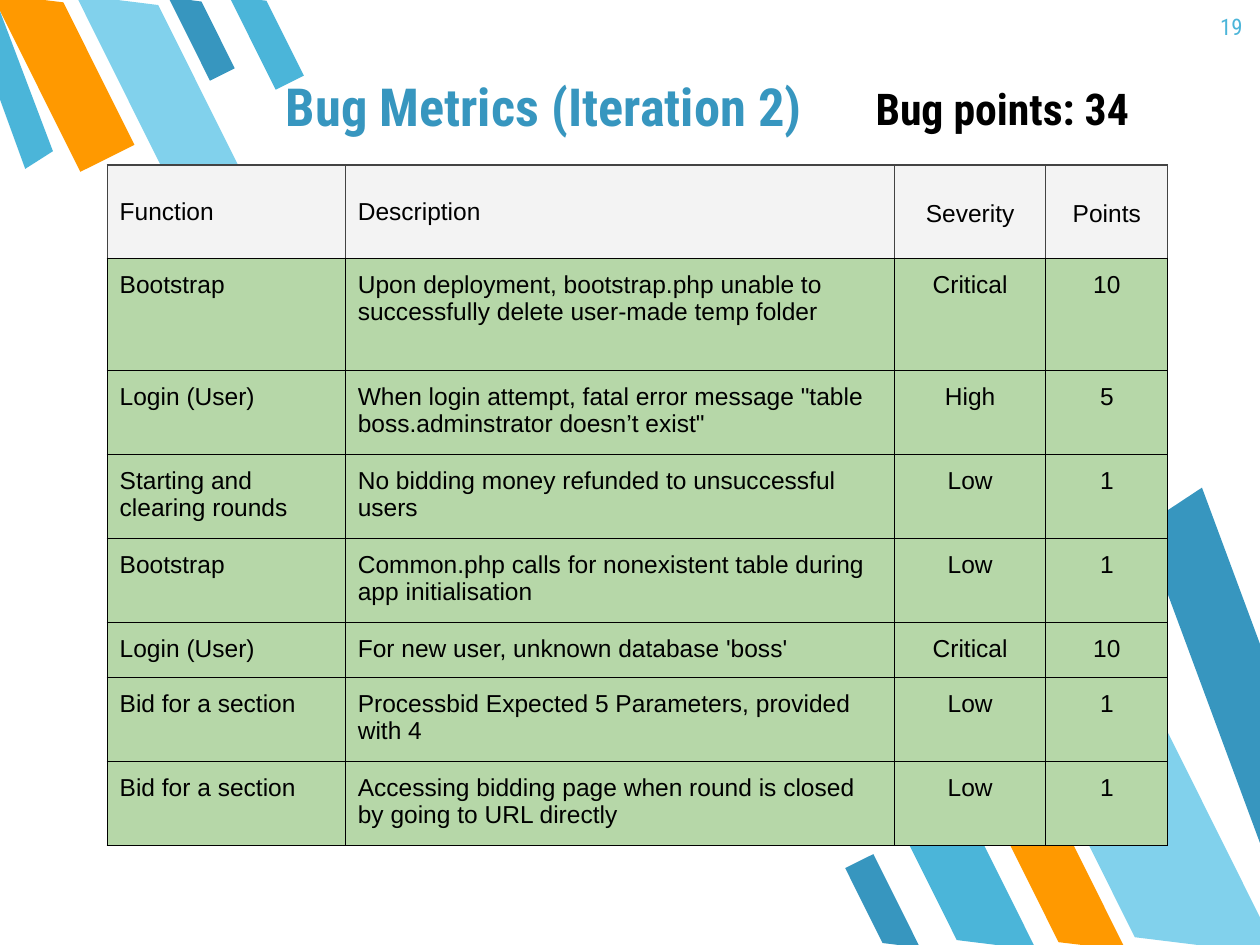
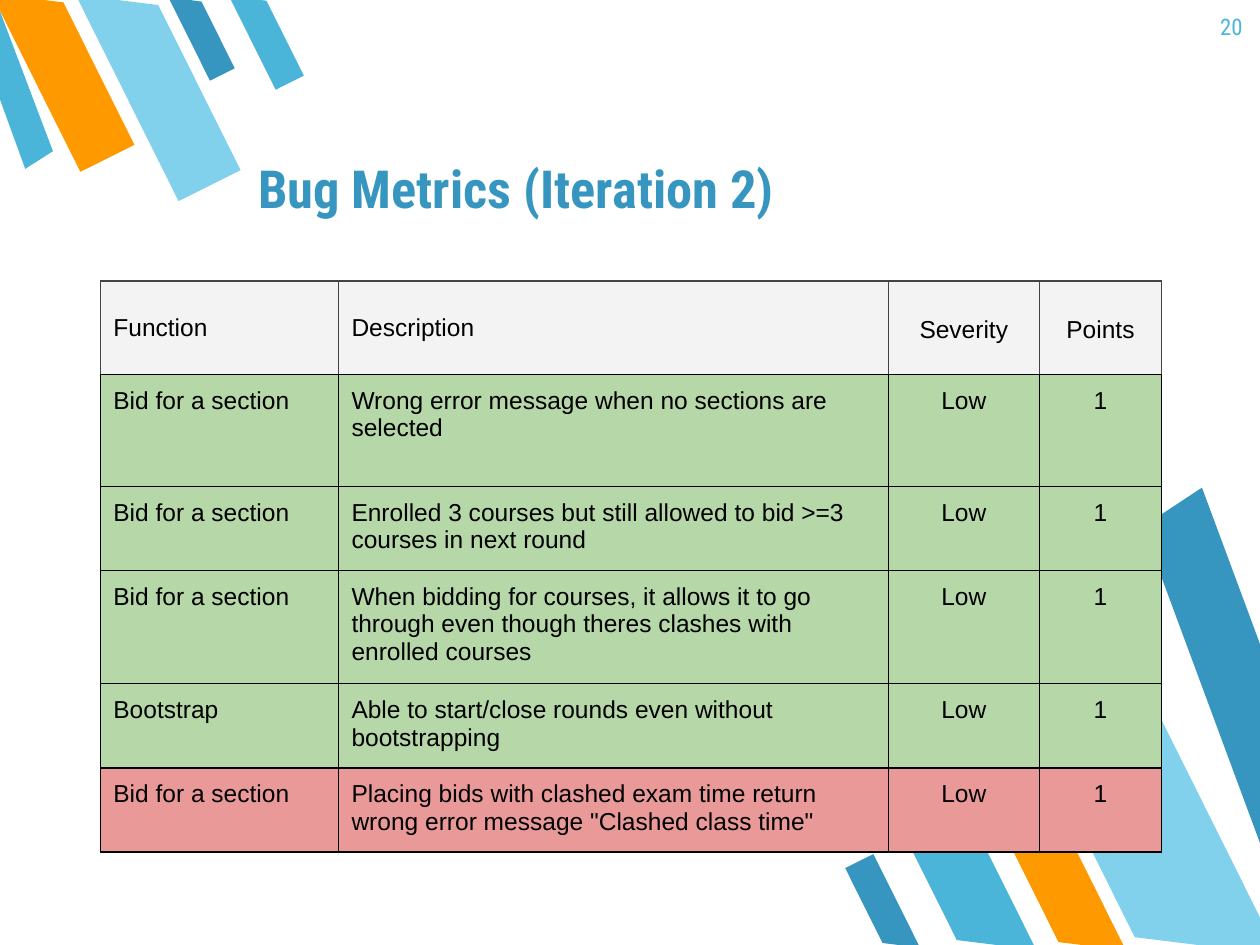
from lxml.etree import SubElement
from pptx import Presentation
from pptx.dml.color import RGBColor
from pptx.enum.shapes import MSO_SHAPE
from pptx.enum.text import MSO_ANCHOR, PP_ALIGN
from pptx.oxml.ns import qn
from pptx.util import Inches, Pt

COLORS = {
    "blue": "3796BF", "sky": "4BB5D9", "pale": "81D1EC", "orange": "FF9900",
    "black": "000000", "grey": "434343", "header": "F3F3F3",
    "fixed": "B6D7A8", "open": "EA9999",
}
HEADING_FONT = "Roboto Condensed"

# Slanted bands: left, top, width, height, rotation, colour
BANDS = [
    (7.33, 5.99, 0.53, 1.76, 153.5, "sky"),
    (8.53, 4.78, 0.96, 3.18, 153.5, "pale"),
    (8.18, 6.24, 0.45, 1.48, 153.5, "orange"),
    (6.88, 6.79, 0.25, 0.83, 153.5, "blue"),
    (1.49, -0.11, 0.22, 0.74, 333.5, "blue"),
    (0.26, -0.24, 0.48, 1.58, 333.5, "orange"),
    (0.98, -0.26, 0.55, 1.83, 333.5, "pale"),
    (1.99, -0.13, 0.25, 0.83, 333.5, "sky"),
]
# Bands cut off by the slide edge: corner points, colour
EDGE_BANDS = [
    ([(9.54, 3.87), (9.07, 4.18), (10, 6.69), (10, 5.11)], "blue"),
    ([(0.2, 1.34), (0.42, 1.2), (0, 0.09), (0, 0.79)], "sky"),
]

HEADINGS = ("Function", "Description", "Severity", "Points")
COLUMN_WIDTHS = (1.89, 4.36, 1.2, 0.97)
# Minimum heights; rows grow with their text
HEADER_HEIGHT, FIRST_BUG_HEIGHT, BUG_HEIGHT = 0.74, 0.89, 0.29

PAGES = [
    {
        "number": 19, "title_at": (2.17, 0.2), "table_at": (0.85, 1.31),
        "total": "Bug points: 34",
        "bugs": [
            ("Bootstrap", "Upon deployment, bootstrap.php unable to successfully "
             "delete user-made temp folder", "Critical", 10, "fixed"),
            ("Login (User)", "When login attempt, fatal error message \"table "
             "boss.adminstrator doesn’t exist\"", "High", 5, "fixed"),
            ("Starting and clearing rounds", "No bidding money refunded to "
             "unsuccessful users", "Low", 1, "fixed"),
            ("Bootstrap", "Common.php calls for nonexistent table during app "
             "initialisation", "Low", 1, "fixed"),
            ("Login (User)", "For new user, unknown database 'boss'",
             "Critical", 10, "fixed"),
            ("Bid for a section", "Processbid Expected 5 Parameters, provided "
             "with 4", "Low", 1, "fixed"),
            ("Bid for a section", "Accessing bidding page when round is closed "
             "by going to URL directly", "Low", 1, "fixed"),
        ],
    },
    {
        "number": 20, "title_at": (1.95, 0.85), "table_at": (0.8, 2.23),
        "total": None,
        "bugs": [
            ("Bid for a section", "Wrong error message when no sections are "
             "selected", "Low", 1, "fixed"),
            ("Bid for a section", "Enrolled 3 courses but still allowed to bid "
             ">=3 courses in next round", "Low", 1, "fixed"),
            ("Bid for a section", "When bidding for courses, it allows it to go "
             "through even though theres clashes with enrolled courses",
             "Low", 1, "fixed"),
            ("Bootstrap", "Able to start/close rounds even without "
             "bootstrapping", "Low", 1, "fixed"),
            ("Bid for a section", "Placing bids with clashed exam time return "
             "wrong error message \"Clashed class time\"", "Low", 1, "open"),
        ],
    },
]


def write(frame, text, cell=None, size=14, font="Arial", color="black", bold=False,
          align=PP_ALIGN.LEFT, anchor=MSO_ANCHOR.TOP, spacing=None, pad=0.1):
    """Fill a text frame; in a table the cell holds the margins and the anchor."""
    area = cell or frame
    area.margin_left = area.margin_right = Inches(0.1)
    area.margin_top = area.margin_bottom = Inches(pad)
    area.vertical_anchor = anchor
    frame.word_wrap = True
    para = frame.paragraphs[0]
    para.alignment = align
    para.line_spacing = spacing
    span = para.add_run()
    span.text = text
    span.font.size = Pt(size)
    span.font.name = font
    span.font.bold = bold
    span.font.color.rgb = RGBColor.from_string(COLORS[color])


def fill_cell(cell, fill, side_color, bottom_color):
    """Give a cell its borders, then its fill, in the order the schema asks for."""
    properties = cell._tc.get_or_add_tcPr()
    for side in "LRTB":
        line = SubElement(properties, qn(f"a:ln{side}"), w=str(Pt(0.75)))
        solid = SubElement(line, qn("a:solidFill"))
        color = bottom_color if side == "B" else side_color
        SubElement(solid, qn("a:srgbClr"), val=COLORS[color])
    cell.fill.solid()
    cell.fill.fore_color.rgb = RGBColor.from_string(COLORS[fill])


deck = Presentation()
deck.slide_width, deck.slide_height = Inches(10), Inches(7.5)

for page in PAGES:
    slide = deck.slides.add_slide(deck.slide_layouts[6])
    shapes = slide.shapes

    # Corner bands
    painted = []
    for left, top, width, height, rotation, color in BANDS:
        band = shapes.add_shape(MSO_SHAPE.FLOWCHART_MANUAL_INPUT, Inches(left),
                                Inches(top), Inches(width), Inches(height))
        band.rotation = rotation
        band.element.spPr.get_or_add_xfrm().set("flipH", "1")
        painted.append((band, color))
    for corners, color in EDGE_BANDS:
        points = [(Inches(x), Inches(y)) for x, y in corners]
        outline = shapes.build_freeform(*points[0])
        outline.add_line_segments(points[1:], close=True)
        painted.append((outline.convert_to_shape(), color))
    for band, color in painted:
        band.shadow.inherit = False
        band.fill.solid()
        band.fill.fore_color.rgb = RGBColor.from_string(COLORS[color])
        band.line.fill.background()

    # Title and page number
    left, top = page["title_at"]
    title = shapes.add_textbox(Inches(left), Inches(top), Inches(6.3), Inches(0.99))
    write(title.text_frame, "Bug Metrics (Iteration 2)", size=30, font=HEADING_FONT,
          color="blue", bold=True, anchor=MSO_ANCHOR.BOTTOM)
    number = shapes.add_textbox(Inches(9.36), 0, Inches(0.6), Inches(0.57))
    write(number.text_frame, str(page["number"]), size=13, font=HEADING_FONT,
          color="sky", align=PP_ALIGN.RIGHT)

    # Bug table
    bugs = page["bugs"]
    heights = [HEADER_HEIGHT, FIRST_BUG_HEIGHT] + [BUG_HEIGHT] * (len(bugs) - 1)
    left, top = page["table_at"]
    table = shapes.add_table(len(heights), len(HEADINGS), Inches(left), Inches(top),
                             Inches(sum(COLUMN_WIDTHS)), Inches(sum(heights))).table
    table.first_row = table.horz_banding = False
    for column, width in zip(table.columns, COLUMN_WIDTHS):
        column.width = Inches(width)
    for row, height in zip(table.rows, heights):
        row.height = Inches(height)

    for index, heading in enumerate(HEADINGS):
        cell = table.cell(0, index)
        centred = index >= 2
        write(cell.text_frame, heading, cell=cell, anchor=MSO_ANCHOR.MIDDLE, pad=0.13,
              align=PP_ALIGN.CENTER if centred else PP_ALIGN.LEFT,
              spacing=1.15 if centred else None)
        fill_cell(cell, "header", "grey", "black")
    for row_index, (*values, status) in enumerate(bugs, start=1):
        for index, value in enumerate(values):
            cell = table.cell(row_index, index)
            write(cell.text_frame, str(value), cell=cell,
                  align=PP_ALIGN.CENTER if index >= 2 else PP_ALIGN.LEFT)
            fill_cell(cell, status, "black", "black")

    if page["total"]:
        total = shapes.add_textbox(Inches(6.85), Inches(0.55), Inches(3.09), Inches(0.99))
        write(total.text_frame, page["total"], size=25, font=HEADING_FONT, bold=True)

deck.save("out.pptx")
